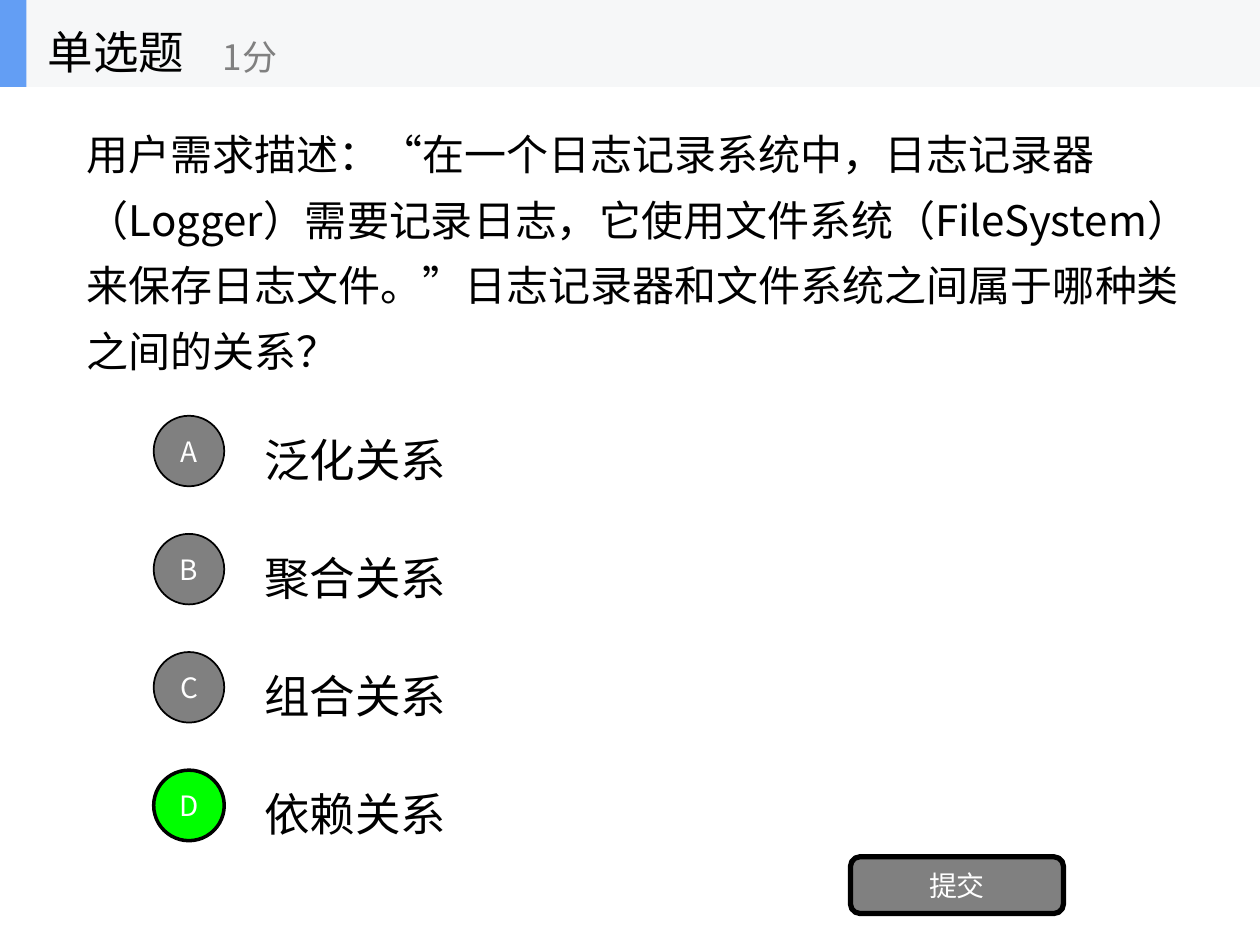
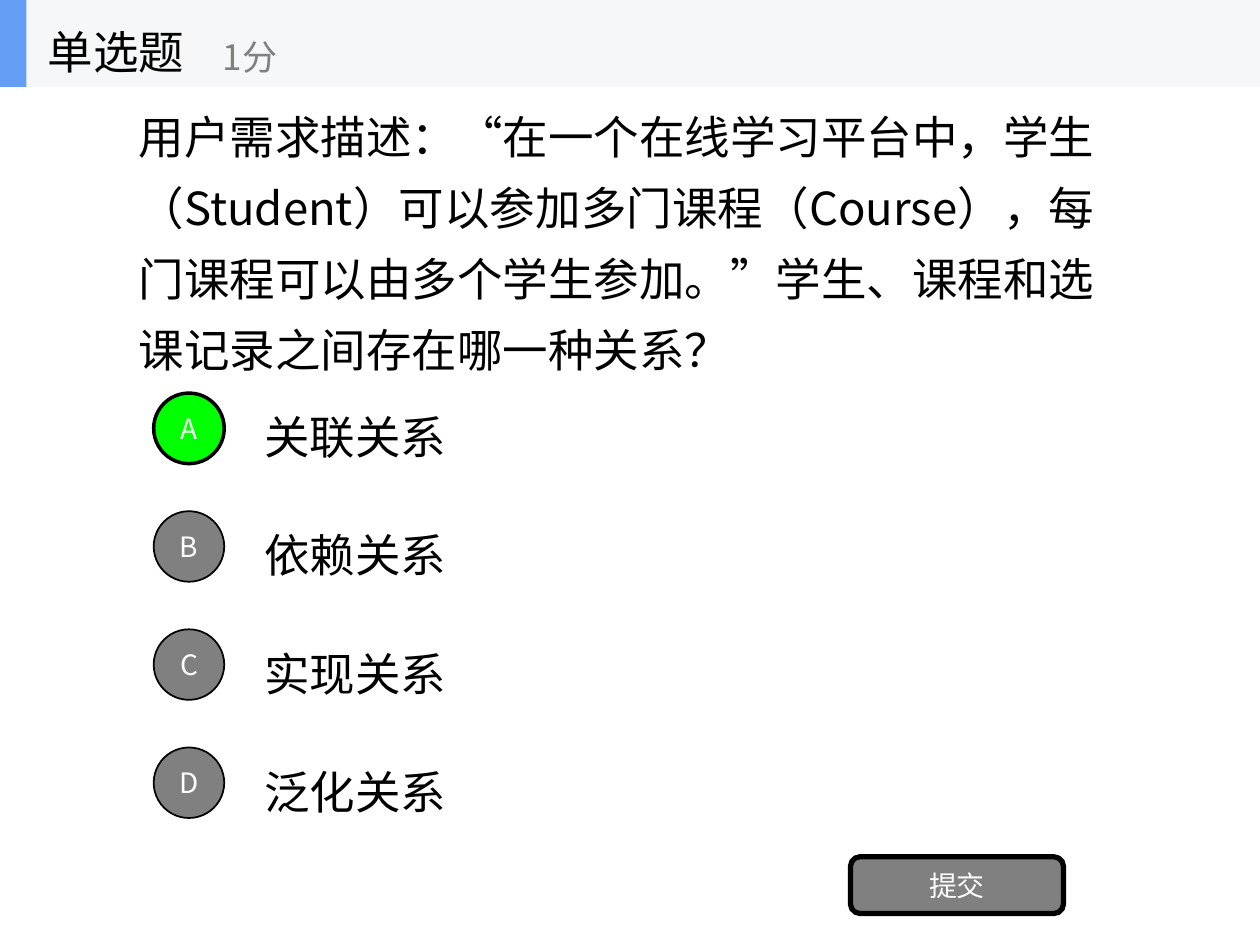
import pptx
import pptx.dml.color
import pptx.enum.lang
import pptx.enum.shapes
import pptx.enum.text
import pptx.oxml
import pptx.oxml.ns
import pptx.util

Inches = pptx.util.Inches
Pt = pptx.util.Pt
RGBColor = pptx.dml.color.RGBColor
Kind = pptx.enum.shapes.MSO_SHAPE
Align = pptx.enum.text.PP_ALIGN

FONT = "Noto Sans CJK SC"
BLACK = RGBColor(0x00, 0x00, 0x00)
WHITE = RGBColor(0xFF, 0xFF, 0xFF)
GRAY = RGBColor(0x80, 0x80, 0x80)
GREEN = RGBColor(0x00, 0xFF, 0x00)
BAND = RGBColor(0xF6, 0xF7, 0xF8)
BLUE = RGBColor(0x63, 0x9E, 0xF4)

HEAD = 0.69      # height of the header band
STEP = 7.5 / 8   # distance between answer rows
DOT = 0.56       # diameter of an answer button
ROW = 0.7        # height of an answer row

QUIZ = [
    dict(text="用户需求描述：“在一个日志记录系统中，日志记录器（Logger）需要记录日志，"
              "它使用文件系统（FileSystem）来保存日志文件。”"
              "日志记录器和文件系统之间属于哪种类之间的关系？",
         box=(0.59, HEAD, 9.13, 2.5), size=24, top=3.23, right="D",
         answers=["泛化关系", "聚合关系", "组合关系", "依赖关系"]),
    dict(text="用户需求描述：“在一个在线学习平台中，学生（Student）可以参加多门课程（Course），"
              "每门课程可以由多个学生参加。”学生、课程和选课记录之间存在哪一种关系？",
         box=(1, HEAD, 8, 2.34), size=26, top=3.05, right="A",
         answers=["关联关系", "依赖关系", "实现关系", "泛化关系"]),
]


def write(shape, text, size=26, color=BLACK, align=Align.LEFT, lead=1.3):
    frame = shape.text_frame
    frame.word_wrap = True
    frame.auto_size = pptx.enum.text.MSO_AUTO_SIZE.NONE
    frame.vertical_anchor = pptx.enum.text.MSO_ANCHOR.MIDDLE
    para = frame.paragraphs[0]
    para.alignment = align
    para.line_spacing = lead
    para.space_before = Pt(0)
    run = para.add_run()
    run.text = text
    font = run.font
    font.size = Pt(size)
    font.color.rgb = color
    font.name = FONT
    font.language_id = pptx.enum.lang.MSO_LANGUAGE_ID.SIMPLIFIED_CHINESE
    east = pptx.oxml.parse_xml(
        f'<a:ea {pptx.oxml.ns.nsdecls("a")} typeface="{FONT}"/>')
    run.font._element.append(east)


def place(shape, box):
    shape.left, shape.top, shape.width, shape.height = map(Inches, box)


def label(slide, box, text, **style):
    write(slide.shapes.add_textbox(*map(Inches, box)), text, **style)


def block(slide, kind, box, fill, line=0):
    """Add a flat shape; a line width of 0 means no outline."""
    shape = slide.shapes.add_shape(kind, *map(Inches, box))
    shape.shadow.inherit = False
    shape.fill.solid()
    shape.fill.fore_color.rgb = fill
    if line:
        shape.line.color.rgb = BLACK
        shape.line.width = Pt(line)
    else:
        shape.line.fill.background()
    return shape


def button(slide, kind, box, text, fill, line):
    shape = block(slide, kind, box, fill, line)
    write(shape, text, size=16, color=WHITE, align=Align.CENTER, lead=1)


def header(slide):
    block(slide, Kind.RECTANGLE, (0, 0, 10, HEAD), BAND)
    block(slide, Kind.RECTANGLE, (0, 0, 0.21, HEAD), BLUE)
    title = slide.shapes.title
    place(title, (0.28, 0, 2.08, HEAD))
    write(title, "单选题")
    title.element.getparent().append(title.element)  # in front of the band
    label(slide, (1.67, 0.12, 2.5, 0.56), "1分", size=20, color=GRAY)


def question(slide, text, box, size):
    body = slide.placeholders[1]
    place(body, box)
    write(body, text, size=size)
    props = body.text_frame.paragraphs[0]._p.get_or_add_pPr()
    props.set("marL", "0")
    props.set("indent", "0")
    props.append(pptx.oxml.parse_xml(
        f'<a:buNone {pptx.oxml.ns.nsdecls("a")}/>'))


def choices(slide, answers, top, right):
    for i, (mark, answer) in enumerate(zip("ABCD", answers)):
        y = top + i * STEP
        fill, line = (GREEN, 2) if mark == right else (GRAY, 1)
        label(slide, (2, y, 7, ROW), answer)
        button(slide, Kind.OVAL, (1.22, y + (ROW - DOT) / 2, DOT, DOT),
               mark, fill, line)


def main():
    deck = pptx.Presentation()
    deck.slide_width = Inches(10)
    deck.slide_height = Inches(7.5)
    for item in QUIZ:
        slide = deck.slides.add_slide(deck.slide_layouts[1])
        question(slide, item["text"], item["box"], item["size"])
        choices(slide, item["answers"], item["top"], item["right"])
        button(slide, Kind.ROUNDED_RECTANGLE, (6.75, 6.8, 1.69, 0.45),
               "提交", GRAY, 3)
        header(slide)
    deck.save("out.pptx")


if __name__ == "__main__":
    main()
